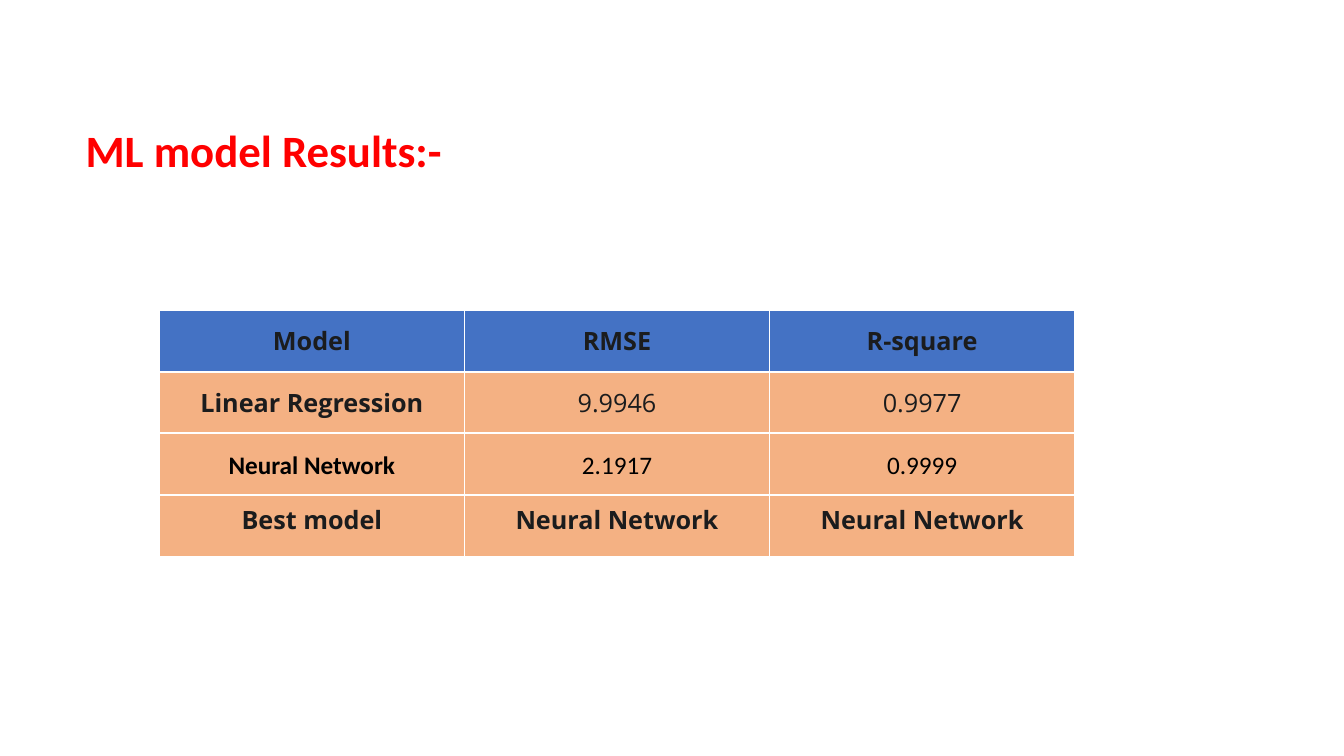
from lxml import etree
from pptx import Presentation
from pptx import util as u
from pptx.dml.color import RGBColor
from pptx.enum import text
from pptx.oxml.ns import qn

HEADER_FILL, BODY_FILL, BORDER = "4472C4", "F4B183", "FFFFFF"
THIN, THICK = 0.6, 1.63
OPEN_SANS = {"name": "Open Sans", "color": "1B1C1D"}
CALIBRI = {"name": "Calibri", "color": "000000"}

RESULTS = [
    ["Model", "RMSE", "R-square"],
    ["Linear Regression", "9.9946", "0.9977"],
    ["Neural Network", "2.1917", "0.9999"],
    ["Best model", "Neural Network", "Neural Network"],
]


def rgb(color):
    return RGBColor.from_string(color)


def set_attributes(target, values):
    for name, value in values.items():
        setattr(target, name, value)


def write(paragraph, words, color, **font_values):
    run = paragraph.add_run()
    run.text = words
    set_attributes(run.font, font_values)
    run.font.color.rgb = rgb(color)


def set_borders(cell, widths):
    """Border lines must come before the fill in the cell properties."""
    properties = cell._tc.get_or_add_tcPr()
    for index, (side, points) in enumerate(widths.items()):
        line = etree.Element(qn(f"a:ln{side}"), w=str(u.Pt(points)))
        fill = etree.SubElement(line, qn("a:solidFill"))
        etree.SubElement(fill, qn("a:srgbClr"), val=BORDER)
        properties.insert(index, line)


def add_title(slide, left, top, width, height):
    shape = slide.shapes.add_textbox(left, top, width, height)
    frame = shape.text_frame
    set_attributes(frame, {"word_wrap": True,
                           "auto_size": text.MSO_AUTO_SIZE.SHAPE_TO_FIT_TEXT})
    write(frame.paragraphs[0], "ML model Results:-", "FF0000",
          name="Calibri", size=u.Pt(32), bold=True)


def add_results_table(slide, left, top, width, height):
    last = len(RESULTS) - 1
    table = slide.shapes.add_table(
        len(RESULTS), len(RESULTS[0]), left, top, width, height).table
    for r, row in enumerate(RESULTS):
        for c, words in enumerate(row):
            cell = table.cell(r, c)
            cell.vertical_anchor = text.MSO_ANCHOR.MIDDLE
            if r < last:
                set_attributes(cell, {
                    "margin_left": u.Inches(0.06), "margin_right": u.Inches(0.06),
                    "margin_top": u.Inches(0.03), "margin_bottom": u.Inches(0.03)})
            cell.fill.solid()
            cell.fill.fore_color.rgb = rgb(BODY_FILL if r else HEADER_FILL)
            set_borders(cell, {"L": THIN, "R": THIN,
                               "T": THICK if r else THIN,
                               "B": THICK if r < last else THIN})

            # Scores are regular; labels and the winning model are bold
            paragraph = cell.text_frame.paragraphs[0]
            set_attributes(paragraph, {
                "alignment": text.PP_ALIGN.CENTER,
                "line_spacing": u.Pt(24 if r < last else 16.5)})
            write(paragraph, words, size=u.Pt(18),
                  bold=c == 0 or r in (0, last),
                  **(CALIBRI if r == 2 else OPEN_SANS))


def main():
    presentation = Presentation()
    set_attributes(presentation, {"slide_width": u.Inches(13.33),
                                  "slide_height": u.Inches(7.5)})
    slide = presentation.slides.add_slide(presentation.slide_layouts[6])
    add_title(slide, u.Inches(0.75), u.Inches(1.17), u.Inches(7.29), u.Inches(0.64))
    add_results_table(slide, u.Inches(1.58), u.Inches(3.08),
                      u.Inches(9.08), u.Inches(2.44))
    presentation.save("out.pptx")


if __name__ == "__main__":
    main()
